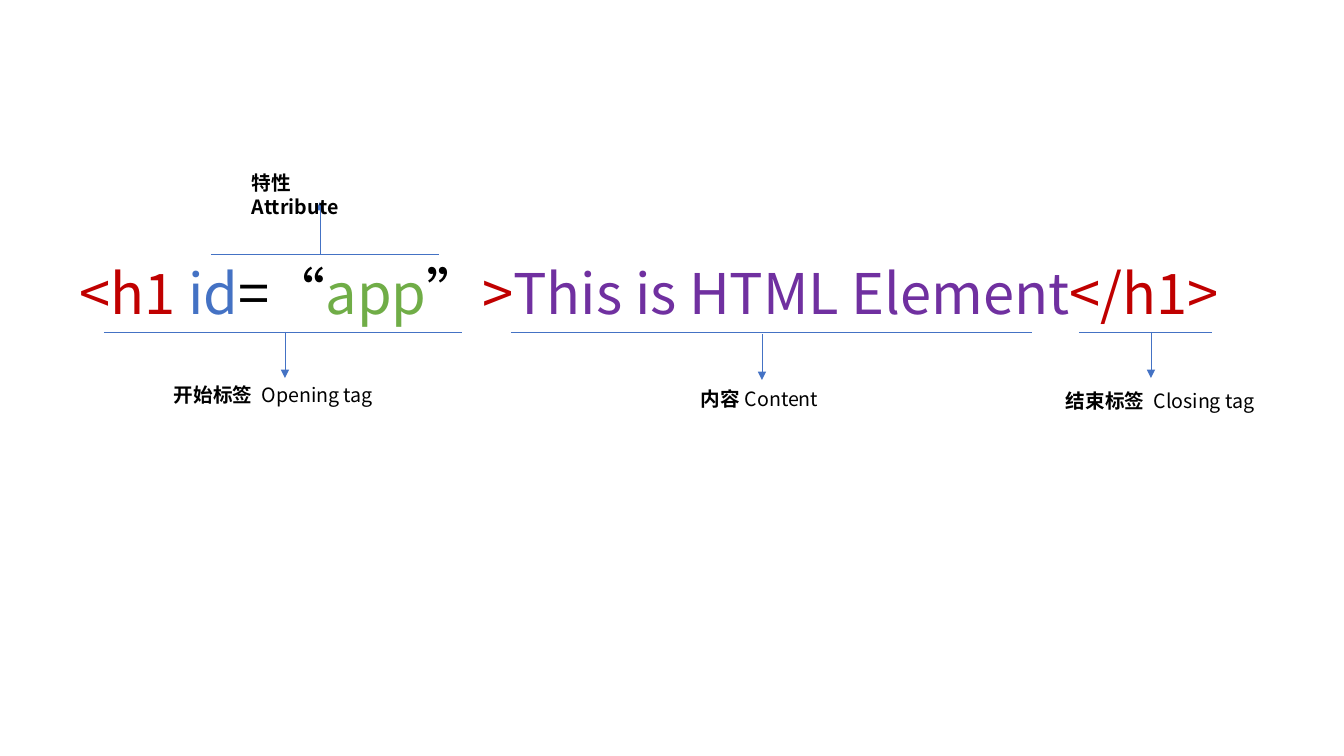
from lxml import etree
from pptx import Presentation
from pptx.dml.color import RGBColor
from pptx.enum.shapes import MSO_CONNECTOR
from pptx.enum.text import MSO_AUTO_SIZE
from pptx.oxml.ns import qn
from pptx.util import Pt

STRAIGHT = MSO_CONNECTOR.STRAIGHT
GROW = MSO_AUTO_SIZE.SHAPE_TO_FIT_TEXT
PIXEL = 914400 / 100.8
FONT = "Noto Sans CJK SC"
RED = RGBColor(0xC0, 0x00, 0x00)
BLUE = RGBColor(0x44, 0x72, 0xC4)
GREEN = RGBColor(0x70, 0xAD, 0x47)
PURPLE = RGBColor(0x70, 0x30, 0xA0)
BLACK = RGBColor(0, 0, 0)

# Spans of text: (words, colour, bold)
ELEMENT = [
    ("<h1 ", RED, False), ("id", BLUE, False), ("=“", BLACK, False),
    ("app", GREEN, False), ("”", BLACK, False), (">", RED, False),
    ("This is HTML Element", PURPLE, False), ("</h1>", RED, False),
]
ELEMENT_BOX = (70, 254, 1206, 78)
LABEL_HEIGHT = 34

# Each part: bar (left, right, y), arrow (x, start, tip),
# label box (left, top, width), Chinese name, English name
PARTS = [
    ((211, 439, 254), (320, 254, 202), (242, 166, 150), "特性 Attribute", ""),
    ((104, 462, 332), (285, 332, 378), (164, 378, 236), "开始标签  ", "Opening tag"),
    ((511, 1032, 332), (762, 334, 380), (691, 382, 142), "内容 ", "Content"),
    ((1079, 1212, 332), (1151, 332, 378), (1056, 384, 236), "结束标签  ", "Closing tag"),
]


def px(length):
    """Turn pixels into EMU."""
    return round(length * PIXEL)


def add_text(page, spans, left, top, width, height, size):
    """Add a one-paragraph text box made of coloured spans."""
    box = page.shapes.add_textbox(px(left), px(top), px(width), px(height))
    frame = box.text_frame
    frame.word_wrap = True
    frame.auto_size = GROW
    para = frame.paragraphs[0]
    for words, colour, bold in spans:
        span = para.add_run()
        span.text = words
        span.font.size = Pt(size)
        span.font.name = FONT
        span.font.bold = bold
        span.font.color.rgb = colour
        properties = span.font._element
        properties.set("lang", "zh-CN")
        properties.set("altLang", "en-US")
        etree.SubElement(properties, qn("a:ea")).set("typeface", FONT)


def add_line(page, start, end, arrow=False):
    """Add a thin blue line, with an arrowhead at its end if asked."""
    line = page.shapes.add_connector(STRAIGHT, *map(px, start + end))
    line.line.color.rgb = BLUE
    line.line.width = Pt(0.5)
    if arrow:
        outline = line.line._get_or_add_ln()
        etree.SubElement(outline, qn("a:tailEnd")).set("type", "triangle")
    etree.SubElement(line._element.spPr, qn("a:effectLst"))


def add_part(page, bar, arrow, label, chinese, english):
    """Mark one part of the element with a bar, an arrow and a label."""
    left, right, y = bar
    x, start, tip = arrow
    add_line(page, (left, y), (right, y))
    add_line(page, (x, start), (x, tip), arrow=True)
    spans = [(chinese, BLACK, True)]
    if english:
        spans.append((english, BLACK, False))
    add_text(page, spans, *label, LABEL_HEIGHT, size=14)


deck = Presentation()
deck.slide_width, deck.slide_height = px(1344), px(756)
page = deck.slides.add_slide(deck.slide_layouts[6])
add_text(page, ELEMENT, *ELEMENT_BOX, size=40)
for part in PARTS:
    add_part(page, *part)
deck.save("out.pptx")
